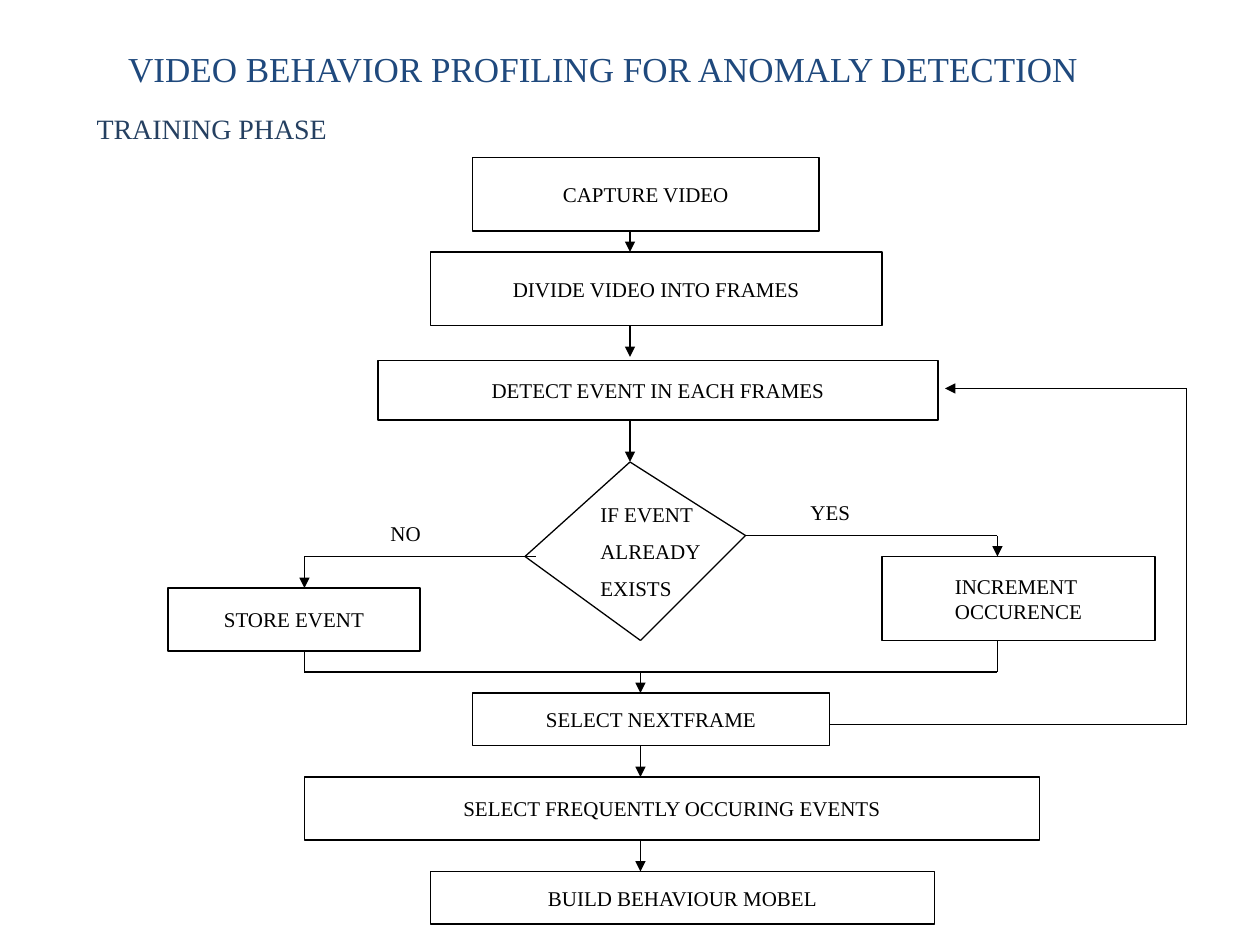
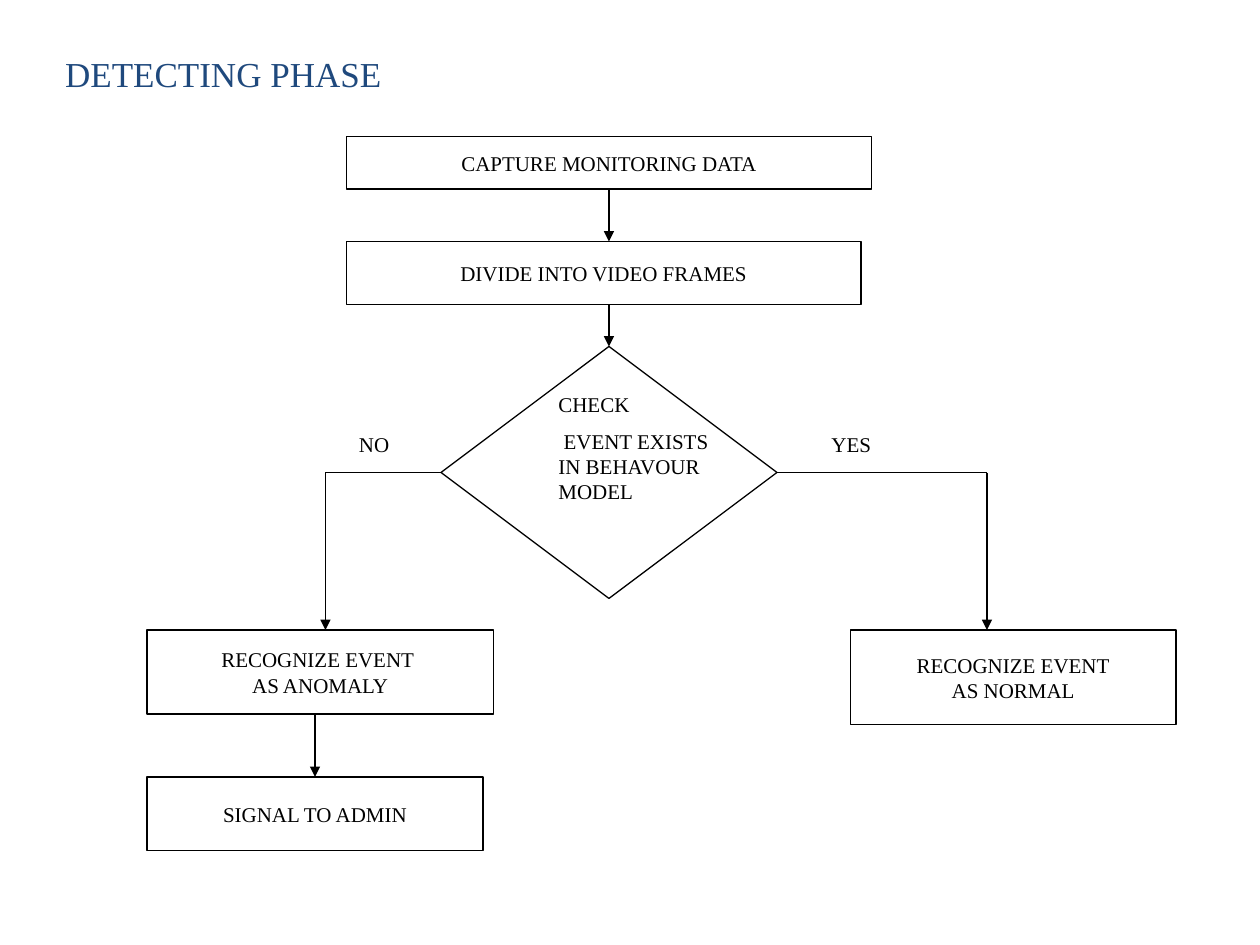
import pptx
import pptx.util
import pptx.dml.color
import pptx.enum.shapes
import pptx.enum.text
import pptx.oxml.ns
import lxml.etree
from dataclasses import dataclass

Pt = pptx.util.Pt
Kind = pptx.enum.shapes.MSO_SHAPE
Align = pptx.enum.text.PP_ALIGN
Anchor = pptx.enum.text.MSO_ANCHOR
qn = pptx.oxml.ns.qn


@dataclass(frozen=True)
class Theme:
    font: str = "Times New Roman"
    title: str = "1F497D"
    subtitle: str = "254061"
    ink: str = "000000"
    paper: str = "FFFFFF"
    title_size: float = 20
    subtitle_size: float = 16
    flow_size: float = 12
    flow_gap: float = 6.7
    rule: float = 0.75


@dataclass(frozen=True)
class Box:
    left: float
    top: float
    width: float
    height: float

    def inner(self, x, y, width, height):
        return Box(self.left + x, self.top + y, width, height)

    def point(self, x, y):
        return Pt(self.left + x), Pt(self.top + y)

    def lengths(self):
        return [Pt(n) for n in (self.left, self.top, self.width, self.height)]


THEME = Theme()


def rgb(code):
    return pptx.dml.color.RGBColor.from_string(code)


# Text and placeholders
def write(shape, text, size, colour, align=Align.LEFT, anchor=Anchor.TOP,
          wrap=True, gap=0):
    frame = shape.text_frame
    frame.text = text
    frame.word_wrap = wrap
    frame.auto_size = pptx.enum.text.MSO_AUTO_SIZE.NONE
    frame.vertical_anchor = anchor
    for number, paragraph in enumerate(frame.paragraphs):
        paragraph.alignment = align
        paragraph.space_before = Pt(gap if number else 0)
        for run in paragraph.runs:
            run.font.name = THEME.font
            run.font.size = Pt(size)
            run.font.color.rgb = rgb(colour)


def place(shape, box):
    shape.left, shape.top, shape.width, shape.height = box.lengths()


def heading(slide, box, text):
    place(slide.shapes.title, box)
    write(slide.shapes.title, text, THEME.title_size, THEME.title,
          anchor=Anchor.MIDDLE)


def subheading(slide, box, text):
    phase = slide.placeholders[1]
    place(phase, box)
    write(phase, text, THEME.subtitle_size, THEME.subtitle)
    properties = phase.text_frame.paragraphs[0]._p.get_or_add_pPr()
    properties.set("marL", "0")
    properties.set("indent", "0")
    lxml.etree.SubElement(properties, qn("a:buNone"))


# Flowchart parts
def outline(slide, kind, box):
    shape = slide.shapes.add_shape(kind, *box.lengths())
    shape.shadow.inherit = False
    shape.fill.solid()
    shape.fill.fore_color.rgb = rgb(THEME.paper)
    shape.line.color.rgb = rgb(THEME.ink)
    shape.line.width = Pt(THEME.rule)
    return shape


def step(slide, box, text):
    write(outline(slide, Kind.RECTANGLE, box), text, THEME.flow_size,
          THEME.ink, Align.CENTER, Anchor.MIDDLE, wrap=False)


def label(slide, box, text):
    caption = slide.shapes.add_textbox(*box.lengths())
    write(caption, text, THEME.flow_size, THEME.ink, gap=THEME.flow_gap)


def route(slide, box, points, arrow=True):
    """Join the points with straight lines; the last may carry an arrowhead."""
    for number, (start, end) in enumerate(zip(points, points[1:]), 2):
        line = slide.shapes.add_connector(
            pptx.enum.shapes.MSO_CONNECTOR.STRAIGHT,
            *box.point(*start), *box.point(*end))
        line.line.color.rgb = rgb(THEME.ink)
        line.line.width = Pt(THEME.rule)
        properties = line.element.spPr
        if arrow and number == len(points):
            lxml.etree.SubElement(properties.find(qn("a:ln")),
                                  qn("a:tailEnd"), type="triangle")
        lxml.etree.SubElement(properties, qn("a:effectLst"))


def flow(slide, box, steps, labels, arrows):
    for text, *area in steps:
        step(slide, box.inner(*area), text)
    for text, *area in labels:
        label(slide, box.inner(*area), text)
    for points in arrows:
        route(slide, box, points)


def training_flow(slide, box):
    top, right, bottom, left = (264, 174), (330, 216), (270, 276), (204, 228)
    route(slide, box, [top, right, bottom, left, top], arrow=False)
    # Both branches meet below the decision
    route(slide, box, [(78, 282), (78, 294), (474, 294), (474, 276)],
          arrow=False)
    flow(
        slide, box,
        steps=[
            ("CAPTURE VIDEO", 174, 0, 198, 42),
            ("DIVIDE VIDEO INTO FRAMES", 150, 54, 258, 42),
            ("DETECT EVENT IN EACH FRAMES", 120, 116, 320, 34),
            ("STORE EVENT", 0, 246, 144, 36),
            ("INCREMENT \nOCCURENCE", 408, 228, 156, 48),
            ("SELECT NEXTFRAME", 174, 306, 204, 30),
            ("SELECT FREQUENTLY OCCURING EVENTS", 78, 354, 420, 36),
            ("BUILD BEHAVIOUR MOBEL", 150, 408, 288, 30),
        ],
        labels=[
            ("IF EVENT\nALREADY\nEXISTS", 240, 193, 84, 65),
            ("NO", 120, 204, 60, 22),
            ("YES", 360, 192, 90, 22),
        ],
        arrows=[
            [(264, 42), (264, 54)],
            [(264, 96), (264, 114)],
            [(264, 150), top],
            [(210, 228), (78, 228), (78, 246)],
            [right, (474, 216), (474, 228)],
            [(270, 294), (270, 306)],
            [(270, 336), (270, 354)],
            [(270, 390), (270, 408)],
            # Back to event detection
            [(378, 324), (582, 324), (582, 132), (444, 132)],
        ])


def detecting_flow(slide, box):
    outline(slide, Kind.FLOWCHART_DECISION, box.inner(168, 120, 192, 144))
    flow(
        slide, box,
        steps=[
            ("CAPTURE MONITORING DATA", 114, 0, 300, 30),
            ("DIVIDE INTO VIDEO FRAMES", 114, 60, 294, 36),
            ("RECOGNIZE EVENT \nAS ANOMALY", 0, 282, 198, 48),
            ("SIGNAL TO ADMIN", 0, 366, 192, 42),
            ("RECOGNIZE EVENT\nAS NORMAL", 402, 282, 186, 54),
        ],
        labels=[
            ("CHECK \n EVENT EXISTS IN BEHAVOUR MODEL", 228, 142, 114, 73),
            ("NO", 114, 165, 60, 22),
            ("YES", 384, 165, 90, 22),
        ],
        arrows=[
            [(264, 30), (264, 60)],
            [(264, 96), (264, 120)],
            [(96, 330), (96, 366)],
            [(168, 192), (102, 192), (102, 282)],
            [(360, 192), (480, 192), (480, 282)],
        ])


deck = pptx.Presentation()
deck.slide_width, deck.slide_height = Pt(720), Pt(540)

# Training phase
training = deck.slides.add_slide(deck.slide_layouts[1])
heading(training, Box(66, 24, 612, 30),
        "VIDEO BEHAVIOR PROFILING FOR ANOMALY DETECTION")
subheading(training, Box(48, 60, 210, 24), "TRAINING PHASE")
training_flow(training, Box(96, 90, 582, 438))

# Detecting phase
detecting = deck.slides.add_slide(deck.slide_layouts[5])
heading(detecting, Box(30, 24, 258, 36), "DETECTING PHASE")
detecting_flow(detecting, Box(84, 78, 588, 408))

deck.save("out.pptx")
